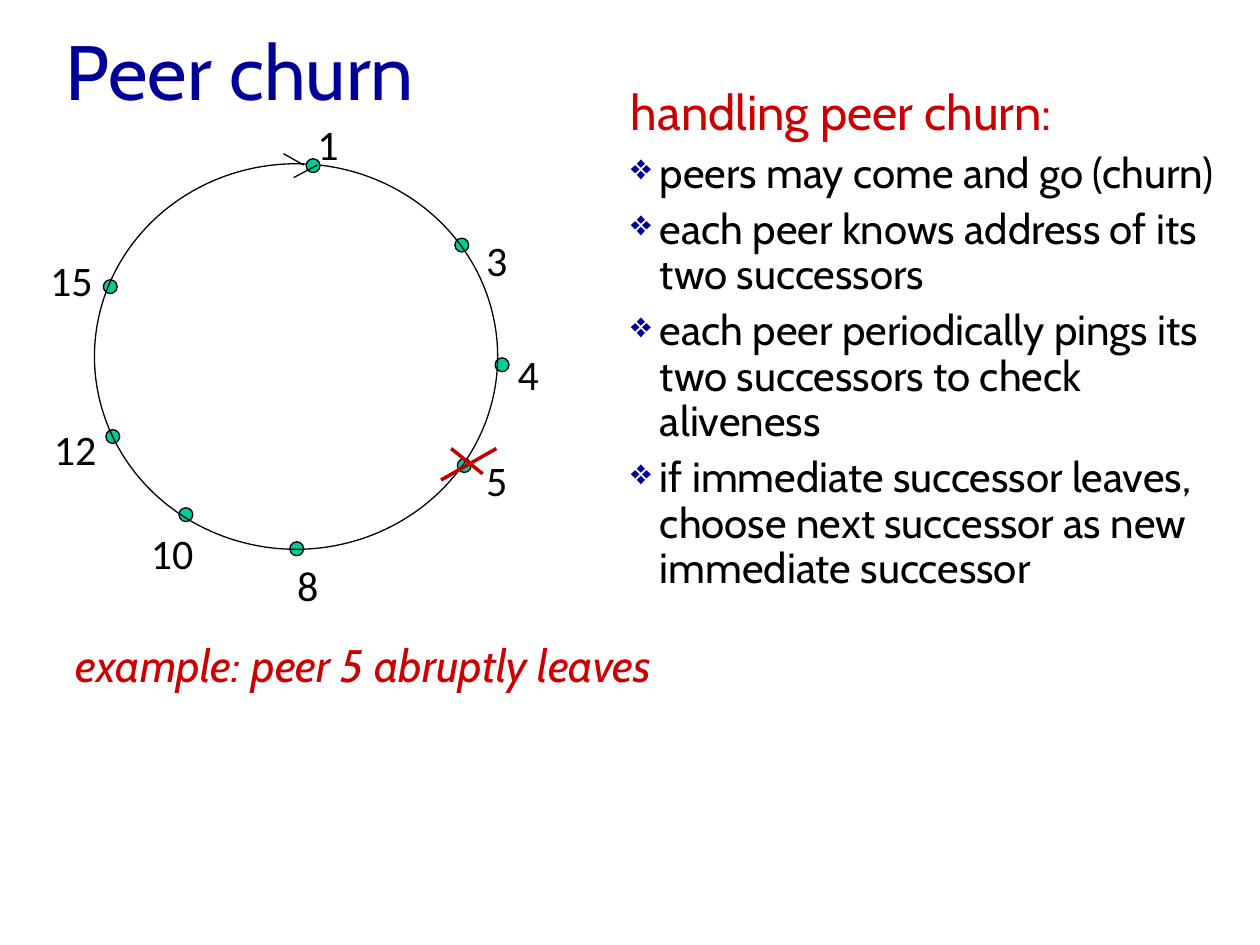
from dataclasses import dataclass
from typing import Any

from pptx import Presentation
from pptx.dml.color import RGBColor
from pptx.enum.shapes import MSO_CONNECTOR as Connector, MSO_SHAPE as Preset
from pptx.enum.text import MSO_ANCHOR as Anchor, MSO_AUTO_SIZE as AutoSize
from pptx.oxml.xmlchemy import OxmlElement
from pptx.util import Inches, Pt

COLORS = {"black": "000000", "title": "000099", "accent": "CC0000",
          "cross": "C00000", "peer": "00CC99"}
COLUMNS, ROWS = 100, 75
DOT = 1.1

presentation = Presentation()
presentation.slide_width, presentation.slide_height = Inches(10), Inches(7.5)
COLUMN = presentation.slide_width / COLUMNS
ROW = presentation.slide_height / ROWS


@dataclass(frozen=True)
class Box:
    column: float
    row: float
    columns: float
    rows: float

    def lengths(self) -> tuple[int, ...]:
        return (round(self.column * COLUMN), round(self.row * ROW),
                round(self.columns * COLUMN), round(self.rows * ROW))


@dataclass(frozen=True)
class Peer:
    name: str
    dot: tuple[float, float]
    label: tuple[float, float]


@dataclass(frozen=True)
class Stroke:
    start: tuple[float, float]
    end: tuple[float, float]
    color: str = "black"
    width: float = 0.75


@dataclass(frozen=True)
class Line:
    text: str
    size: float
    color: str = "black"
    font: str = "Cabin"
    italic: bool = False
    bullet: bool = False


PEERS = [
    Peer("1", (24.3, 12.6), (24.2, 8.9)),
    Peer("3", (36.1, 18.9), (37.6, 18.1)),
    Peer("4", (39.3, 28.4), (40.1, 27.2)),
    Peer("5", (36.3, 36.4), (37.6, 35.6)),
    Peer("8", (23, 43), (22.6, 43.9)),
    Peer("10", (14.2, 40.3), (11, 41.4)),
    Peer("12", (8.4, 34.1), (3.3, 33.1)),
    Peer("15", (8.2, 22.2), (3, 19.7)),
]
STROKES = [
    Stroke((22.5, 12.2), (24.1, 13.1)),
    Stroke((25.2, 13.1), (23.3, 14.1)),
    Stroke((35.8, 35.6), (38.3, 37.6), "cross", 2),
    Stroke((39.4, 35.6), (35, 38.1), "cross", 2),
]
POINTS = [
    "peers may come and go (churn)",
    "each peer knows address of its two successors",
    "each peer periodically pings its two successors to check aliveness",
    "if immediate successor leaves, choose next successor as new immediate successor",
]


def rgb(name: str) -> RGBColor:
    return RGBColor.from_string(COLORS[name])


def apply(target: Any, values: dict[str, Any]) -> None:
    for name, value in values.items():
        setattr(target, name, value)


def add_bullet(paragraph: Any) -> None:
    properties = paragraph._p.get_or_add_pPr()
    indent = Inches(0.23)
    properties.set("marL", str(indent))
    properties.set("indent", str(-indent))
    color = OxmlElement("a:buClr")
    value = OxmlElement("a:srgbClr")
    value.set("val", COLORS["title"])
    color.append(value)
    size = OxmlElement("a:buSzPct")
    size.set("val", "85000")
    mark = OxmlElement("a:buChar")
    mark.set("char", "❖")
    for element in (color, size, mark):
        properties.append(element)


def add_text(shapes: Any, box: Box, lines: list[Line], frame_format: dict[str, Any],
             spacing: float | None = None) -> None:
    frame = shapes.add_textbox(*box.lengths()).text_frame
    apply(frame, {"word_wrap": True} | frame_format)
    for index, line in enumerate(lines):
        paragraph = frame.paragraphs[0] if index == 0 else frame.add_paragraph()
        paragraph.line_spacing = Pt(26) if line.bullet else spacing
        paragraph.space_before = Pt(6 if index else 0)
        if line.bullet:
            add_bullet(paragraph)
        run = paragraph.add_run()
        run.text = line.text
        apply(run.font, {"name": line.font, "size": Pt(line.size), "italic": line.italic})
        run.font.color.rgb = rgb(line.color)


def add_ellipse(shapes: Any, box: Box, fill: str | None = None) -> None:
    shape = shapes.add_shape(Preset.OVAL, *box.lengths())
    shape.shadow.inherit = False
    if fill:
        shape.fill.solid()
        shape.fill.fore_color.rgb = rgb(fill)
    else:
        shape.fill.background()
    shape.line.color.rgb = rgb("black")
    shape.line.width = Pt(0.75)


def add_dot(shapes: Any, peer: Peer) -> None:
    add_ellipse(shapes, Box(*peer.dot, DOT, DOT), "peer")


def add_label(shapes: Any, peer: Peer) -> None:
    width = 2 + 1.7 * len(peer.name)
    add_text(shapes, Box(*peer.label, width, 5), [Line(peer.name, 24, font="Calibri")],
             {"word_wrap": False, "auto_size": AutoSize.SHAPE_TO_FIT_TEXT})


def add_stroke(shapes: Any, stroke: Stroke) -> None:
    ends = Box(*stroke.start, *stroke.end).lengths()
    connector = shapes.add_connector(Connector.STRAIGHT, *ends)
    connector.line.color.rgb = rgb(stroke.color)
    connector.line.width = Pt(stroke.width)
    connector._element.spPr.append(OxmlElement("a:effectLst"))


def main() -> None:
    slide = presentation.slides.add_slide(presentation.slide_layouts[6])
    shapes = slide.shapes
    add_text(shapes, Box(4.2, 0, 90, 11.1), [Line("Peer churn", 44, "title")],
             {"vertical_anchor": Anchor.MIDDLE})
    add_text(shapes, Box(5, 50.6, 66.8, 20.6),
             [Line("example: peer 5 abruptly leaves", 26, "accent", italic=True)], {}, 0.9)

    first, *others = PEERS
    ring = shapes.add_group_shape().shapes
    for peer in others:
        add_dot(ring, peer)
    add_ellipse(ring, Box(7.5, 13, 32, 30.6))
    for peer in PEERS:
        add_label(ring, peer)
    add_dot(ring, first)

    for stroke in STROKES:
        add_stroke(shapes, stroke)
    add_text(shapes, Box(49.1, 6, 48.4, 53.6),
             [Line("handling peer churn:", 28, "accent"),
              *(Line(point, 24, bullet=True) for point in POINTS)],
             {"auto_size": AutoSize.SHAPE_TO_FIT_TEXT})
    presentation.save("out.pptx")


if __name__ == "__main__":
    main()
